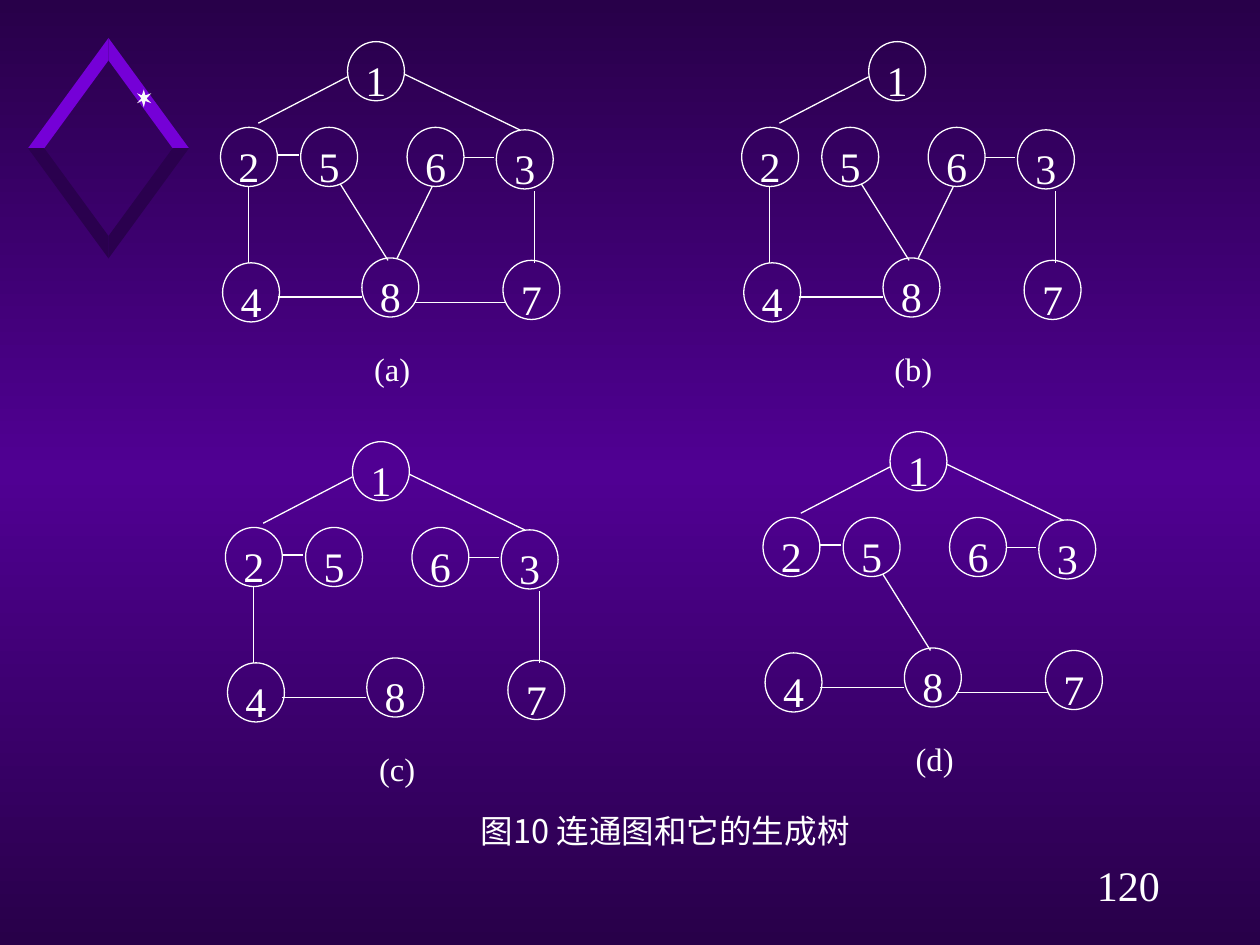
from copy import deepcopy

from lxml import etree
from pptx import Presentation
from pptx.dml.color import RGBColor
from pptx.enum import shapes, text
from pptx.oxml import ns
from pptx.util import Pt

WHITE, VIOLET, SHADE = "FFFFFF", "7500D7", "2A004E"
EDGE_NIGHT, MID_NIGHT = "280049", "500093"
SERIF, CJK = "Times New Roman", "Noto Sans CJK SC"
NODE_W, NODE_H = 32.5, 33.8

# Vertex corners and edge ends, measured from the corner of each graph
VERTICES = {1: (72.6, 0), 2: (0, 49), 5: (45.8, 49), 6: (106.6, 49),
            3: (157.6, 50.4), 4: (1.2, 126.4), 8: (80.8, 123.6), 7: (161.4, 125)}
EDGES = {
    "1-2": (72.6, 20.1, 21.6, 46.6),
    "1-3": (105.1, 18.6, 171.2, 50.5),
    "2-5": (32.4, 64.7, 44.6, 64.7),
    "6-3": (139, 66.2, 156.2, 66.2),
    "5-8": (68.4, 81.3, 95.7, 125),
    "6-8": (121, 82.8, 100.9, 123.8),
    "2-4": (15.9, 82.8, 15.9, 126.5),
    "4-8": (32.6, 146, 80.6, 146),
    "8-7": (110.3, 148.9, 163.3, 148.9),
    "3-7": (179.3, 85.6, 179.3, 126.5),
}

# Label, corner and the edges each spanning tree leaves out
GRAPHS = [
    ("(a)", 126, 23.8, ()),
    ("(b)", 423.8, 23.8, ("1-3", "2-5", "8-7")),
    ("(c)", 128.8, 252.4, ("5-8", "6-8", "8-7")),
    ("(d)", 436, 246.7, ("6-8", "2-4", "3-7")),
]


def rgb(value):
    return RGBColor.from_string(value)


def write(shape, words, size, font=SERIF, drop=0.0, spacing=None):
    """Centred white text, lowered from the top by drop points."""
    frame = shape.text_frame
    frame.word_wrap = True
    frame.vertical_anchor = text.MSO_ANCHOR.TOP
    frame.margin_left = frame.margin_right = frame.margin_bottom = 0
    frame.margin_top = Pt(drop)
    frame.text = words
    paragraph = frame.paragraphs[0]
    paragraph.alignment = text.PP_ALIGN.CENTER
    paragraph.line_spacing = spacing
    run = paragraph.runs[0]
    run.font.size = Pt(size)
    run.font.name = font
    run.font.color.rgb = rgb(WHITE)
    east_asian = etree.SubElement(run._r.get_or_add_rPr(), ns.qn("a:ea"))
    east_asian.set("typeface", font)


def add_label(slide, words, left, top, width, height, size, **style):
    label = slide.shapes.add_textbox(Pt(left), Pt(top), Pt(width), Pt(height))
    write(label, words, size, **style)


def add_vertex(slide, number, left, top):
    vertex = slide.shapes.add_shape(shapes.MSO_SHAPE.OVAL, Pt(left), Pt(top),
                                    Pt(NODE_W), Pt(NODE_H))
    vertex.shadow.inherit = False
    vertex.fill.background()
    vertex.line.color.rgb = rgb(WHITE)
    vertex.line.width = Pt(0.75)
    write(vertex, str(number), 24, drop=2.5)


def add_edge(slide, x1, y1, x2, y2):
    edge = slide.shapes.add_connector(shapes.MSO_CONNECTOR.STRAIGHT,
                                      Pt(x1), Pt(y1), Pt(x2), Pt(y2))
    edge.line.color.rgb = rgb(WHITE)
    edge.line.width = Pt(0.75)
    etree.SubElement(edge._element.spPr, ns.qn("a:effectLst"))


def add_graph(slide, label, left, top, missing):
    for number, (x, y) in VERTICES.items():
        add_vertex(slide, number, left + x, top + y)
    for name, (x1, y1, x2, y2) in EDGES.items():
        if name not in missing:
            add_edge(slide, left + x1, top + y1, left + x2, top + y2)
    add_label(slide, label, left + 72.6, top + 174.2, 51, 23.8, 18.6, drop=1.5)


def add_outline(slide, points, color):
    corners = [(Pt(x), Pt(y)) for x, y in points]
    builder = slide.shapes.build_freeform(*corners[0])
    builder.add_line_segments(corners[1:], close=True)
    outline = builder.convert_to_shape()
    outline.shadow.inherit = False
    outline.fill.solid()
    outline.fill.fore_color.rgb = rgb(color)
    outline.line.fill.background()


def add_diamond(slide):
    """Hollow diamond with a bright upper half, and a sparkle on it."""
    x, y, outer, inner = 62, 84.7, 46, 36.7
    for down, color in ((-1, VIOLET), (1, SHADE)):
        for side in (1, -1):
            add_outline(slide, [(x, y + down * 63), (x + side * outer, y),
                                (x + side * inner, y), (x, y + down * 50.2)], color)
    sparkle = [(78.3, 53.3), (81.1, 54.5), (82.2, 51.1), (83.1, 54.5),
               (86.5, 53.3), (83.8, 56.2), (86.5, 59), (83.1, 57.7),
               (82.2, 61.4), (81.1, 57.7), (78.3, 59), (80.8, 56.2)]
    add_outline(slide, sparkle, "F9F9F9")


def paint_background(slide):
    fill = slide.background.fill
    fill.gradient()
    fill.gradient_angle = 90
    first = fill.gradient_stops[0]._gs
    first.addnext(deepcopy(first))
    colors = (EDGE_NIGHT, MID_NIGHT, EDGE_NIGHT)
    for stop, position, color in zip(fill.gradient_stops, (0, 0.5, 1), colors):
        stop.position = position
        stop.color.rgb = rgb(color)


def main():
    deck = Presentation()
    deck.slide_width, deck.slide_height = Pt(720), Pt(540)
    slide = deck.slides.add_slide(deck.slide_layouts[6])

    # Backdrop
    paint_background(slide)
    add_diamond(slide)

    # Connected graph and its spanning trees
    for graph in GRAPHS:
        add_graph(slide, *graph)

    # Caption and page number
    add_label(slide, "图10 连通图和它的生成树", 223.2, 468, 313.9, 23.8, 18.6,
              font=CJK, spacing=0.8)
    add_label(slide, "120", 617.8, 484.6, 54, 36, 24, drop=6.5)

    deck.save("out.pptx")


if __name__ == "__main__":
    main()
